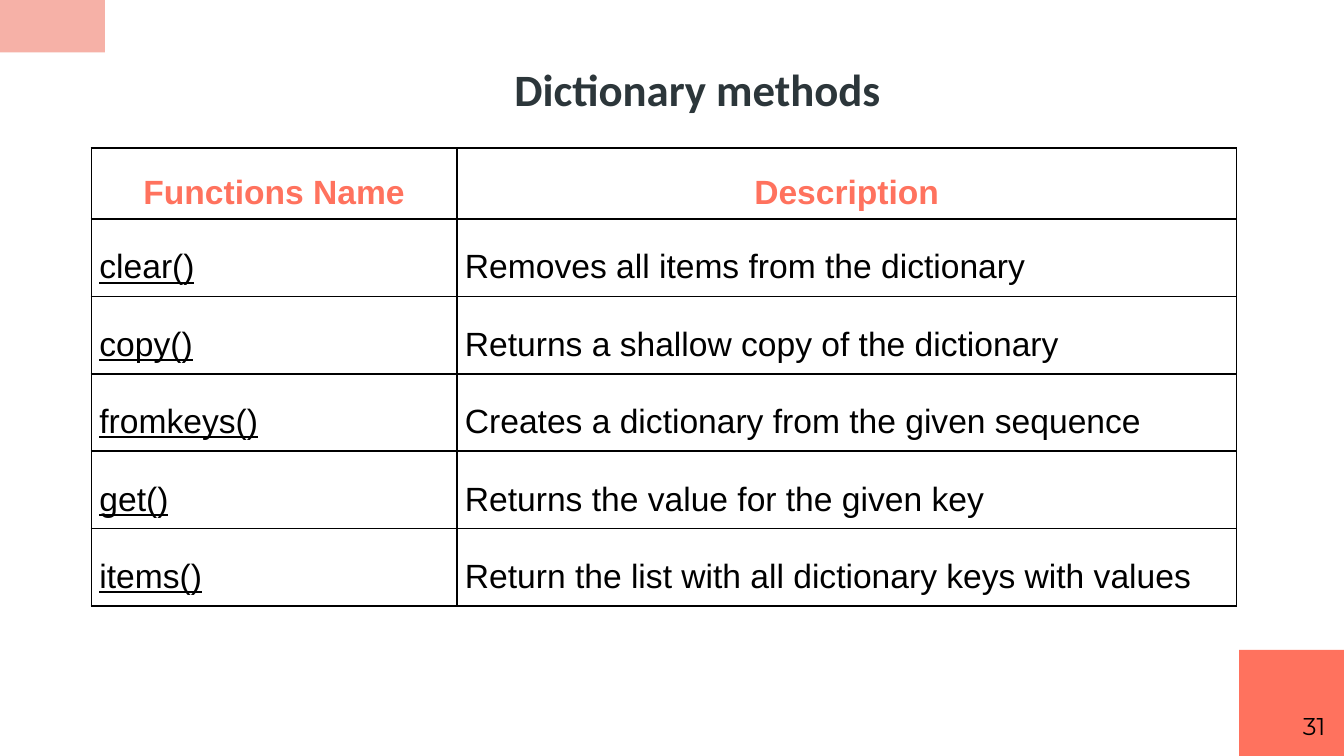
from lxml import etree
from pptx import Presentation
from pptx.dml.color import RGBColor
from pptx.enum.shapes import MSO_SHAPE
from pptx.enum.text import MSO_ANCHOR, PP_ALIGN
from pptx.oxml.ns import qn
from pptx.util import Inches, Pt

RECT = MSO_SHAPE.RECTANGLE
TOP, MIDDLE = MSO_ANCHOR.TOP, MSO_ANCHOR.MIDDLE
LEFT, CENTER, RIGHT = PP_ALIGN.LEFT, PP_ALIGN.CENTER, PP_ALIGN.RIGHT
CORAL, PINK, SLATE, BLACK = "FF725E", "F6B1A7", "2C363A", "000000"


def rgb(code):
    return RGBColor.from_string(code)


def write(frame, text, size, face, color, align, bold=False):
    para = frame.paragraphs[0]
    para.alignment = align
    run = para.add_run()
    run.text = text
    # Run fonts keep the line height that of the text's own face
    font = run.font
    font.size, font.name, font.bold = Pt(size), face, bold
    font.color.rgb = rgb(color)
    return para


# Slide, 16 by 9
deck = Presentation()
wide = deck.slide_width = Inches(10)
high = deck.slide_height = Inches(10 * 9 / 16)
slide = deck.slides.add_slide(deck.slide_layouts[6])
shapes = slide.shapes

# Corner blocks: the lower one is twice as tall
side = int(wide * 0.078)
for left, top, tall, color in [
    (0, 0, side // 2, PINK),
    (wide - side, high - Inches(0.79), Inches(0.79), CORAL),
]:
    block = shapes.add_shape(RECT, left, top, side, tall)
    block.shadow.inherit = False
    block.fill.solid()
    block.fill.fore_color.rgb = rgb(color)
    block.line.fill.background()

# Title and page number
for x, y, w, h, anchor, style in [
    (0.068, 0.04, 0.902, 0.155, MIDDLE,
     ("Dictionary methods", 24, "Calibri", SLATE, CENTER, True)),
    (0.936, 0.923, 0.06, 0.077, TOP,
     ("31", 13, "Montserrat", BLACK, RIGHT)),
]:
    box = shapes.add_textbox(int(wide * x), int(high * y), int(wide * w), int(high * h))
    frame = box.text_frame
    frame.word_wrap = True
    frame.vertical_anchor = anchor
    frame.margin_left = frame.margin_right = Inches(0.1)
    frame.margin_top = frame.margin_bottom = Inches(0.1)
    write(frame, *style)

# Table of methods
rows = [
    ("Functions Name", "Description"),
    ("clear()", "Removes all items from the dictionary"),
    ("copy()", "Returns a shallow copy of the dictionary"),
    ("fromkeys()", "Creates a dictionary from the given sequence"),
    ("get()", "Returns the value for the given key"),
    ("items()", "Return the list with all dictionary keys with values"),
]
cols = [Inches(2.72), Inches(5.8)]
head, line = Inches(0.53), Inches(2.88 / 5)
table = shapes.add_table(
    len(rows), len(cols), int(wide * 0.068), Inches(1.1),
    sum(cols), head + line * (len(rows) - 1),
).table
table.first_row = table.horz_banding = False
for col, width in zip(table.columns, cols):
    col.width = width

for r, texts in enumerate(rows):
    first = r == 0
    table.rows[r].height = head if first else line
    for c, text in enumerate(texts):
        cell = table.cell(r, c)
        cell.vertical_anchor = MIDDLE
        cell.margin_left = cell.margin_right = Inches(0.06)
        cell.margin_top = cell.margin_bottom = Inches(0.04 if first else 0.06)
        para = write(cell.text_frame, text, 18, "Arial",
                     CORAL if first else BLACK, CENTER if first else LEFT, first)
        para.line_spacing = 1.5
        para.runs[0].font.underline = c == 0 and not first

        # Borders come before the fill in the cell's XML
        props = cell._tc.get_or_add_tcPr()
        for edge in ("a:lnL", "a:lnR", "a:lnT", "a:lnB"):
            rule = etree.SubElement(props, qn(edge), w=str(Pt(1)))
            paint = etree.SubElement(rule, qn("a:solidFill"))
            etree.SubElement(paint, qn("a:srgbClr"), val=BLACK)
        cell.fill.background()

deck.save("out.pptx")
